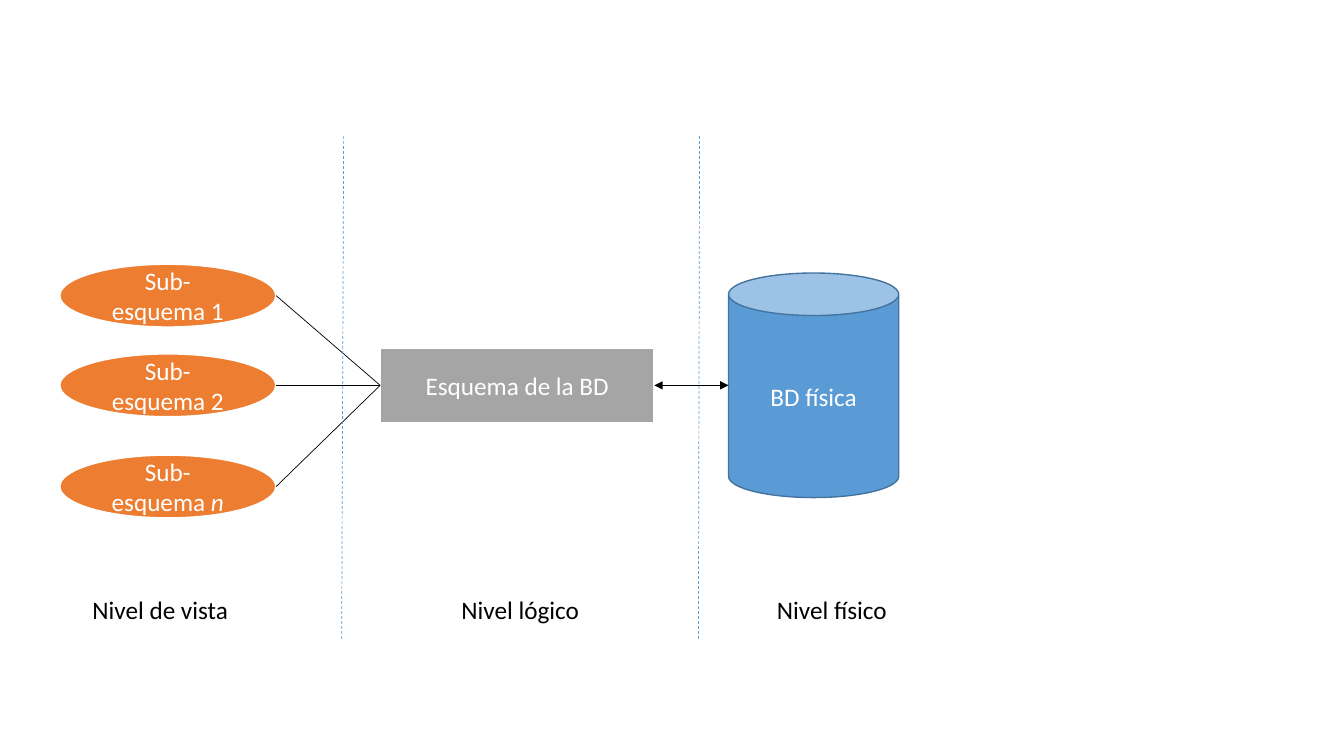
from dataclasses import dataclass

from lxml import etree
from pptx import Presentation, util as u
from pptx.dml.color import RGBColor
from pptx.enum import dml, shapes, text
from pptx.oxml import ns


@dataclass(frozen=True)
class Theme:
    """Colours and type of the page."""
    font: str = "Calibri"
    size: int = 18
    ink: str = "000000"
    paper: str = "FFFFFF"
    view: str = "ED7D31"
    logical: str = "A5A5A5"
    physical: str = "5B9BD5"
    physical_edge: str = "43739E"
    thin: float = 0.5
    edge: float = 1
    thick: float = 1.5


THEME = Theme()

# Lengths in centimetres. A sub-schema is (ending, italic, centre height).
SUBSCHEMAS = [("1", False, 7.45), ("2", False, 9.71), ("n", True, 12.26)]
VIEW_LEFT, VIEW_WIDTH, VIEW_HEIGHT = 1.5, 5.46, 1.6
AXIS = 9.71
SCHEMA = (9.58, 8.76, 6.91, 1.9)
DATABASE = (18.36, 6.88, 4.29, 5.66)
LEVELS = [  # wording, left, width, wraps
    ("Nivel de vista", 2.08, 4.9, True),
    ("Nivel lógico", 11.38, 3.51, False),
    ("Nivel físico", 19.33, 3.33, False),
]
LEVEL_TOP, LEVEL_HEIGHT = 14.86, 1.02
DIVIDERS = [(8.66, 8.61), (17.63, 17.6)]  # x at top, x at bottom
DIVIDER_TOP, DIVIDER_BOTTOM = 3.43, 16.13


def colour(code):
    """Turn a hex code into a colour."""
    return RGBColor.from_string(code)


def write(box, spans, ink, align):
    """Fill the first paragraph with (wording, italic) spans."""
    para = box.text_frame.paragraphs[0]
    para.alignment = align
    para.font.name, para.font.size = THEME.font, u.Pt(THEME.size)
    para.font.color.rgb = colour(ink)
    for wording, italic in spans:
        span = para.add_run()
        span.text = wording
        if italic:
            span.font.italic = True


def add_node(page, kind, place, fill, spans, edge=THEME.paper, width=THEME.thick):
    """Draw a filled shape with centred text."""
    node = page.shapes.add_shape(kind, *map(u.Cm, place))
    node.shadow.inherit = False
    node.fill.solid()
    node.fill.fore_color.rgb = colour(fill)
    node.line.color.rgb = colour(edge)
    node.line.width = u.Pt(width)
    node.text_frame.vertical_anchor = text.MSO_ANCHOR.MIDDLE
    node.text_frame.word_wrap = True
    write(node, spans, THEME.paper, text.PP_ALIGN.CENTER)


def add_line(page, ends, ink=THEME.ink, dashed=False, arrows=False):
    """Draw a thin line between (x1, y1, x2, y2)."""
    line = page.shapes.add_connector(shapes.MSO_CONNECTOR.STRAIGHT, *map(u.Cm, ends))
    line.line.color.rgb = colour(ink)
    line.line.width = u.Pt(THEME.thin)
    if dashed:
        line.line.dash_style = dml.MSO_LINE.DASH
    if arrows:
        for end in ("a:headEnd", "a:tailEnd"):
            etree.SubElement(line.line._get_or_add_ln(), ns.qn(end), type="triangle")
    etree.SubElement(line._element.spPr, ns.qn("a:effectLst"))


def add_level(page, wording, left, width, wraps):
    """Name one level below the diagram."""
    box = page.shapes.add_textbox(*map(u.Cm, (left, LEVEL_TOP, width, LEVEL_HEIGHT)))
    box.text_frame.word_wrap = wraps
    box.text_frame.auto_size = text.MSO_AUTO_SIZE.SHAPE_TO_FIT_TEXT
    write(box, [(wording, False)], THEME.ink, text.PP_ALIGN.LEFT)


deck = Presentation()
deck.slide_width, deck.slide_height = u.Cm(33.87), u.Cm(19.05)
page = deck.slides.add_slide(deck.slide_layouts[6])
SHAPE = shapes.MSO_SHAPE

add_node(page, SHAPE.RECTANGLE, SCHEMA, THEME.logical, [("Esquema de la BD", False)])
for ending, italic, centre in SUBSCHEMAS:
    place = (VIEW_LEFT, centre - VIEW_HEIGHT / 2, VIEW_WIDTH, VIEW_HEIGHT)
    spans = [("Sub-esquema ", False), (ending, italic)]
    add_node(page, SHAPE.OVAL, place, THEME.view, spans)
for _, _, centre in SUBSCHEMAS:
    add_line(page, (VIEW_LEFT + VIEW_WIDTH, centre, SCHEMA[0], AXIS))
add_node(page, SHAPE.CAN, DATABASE, THEME.physical, [("BD física", False)],
         THEME.physical_edge, THEME.edge)
add_line(page, (SCHEMA[0] + SCHEMA[2], AXIS, DATABASE[0], AXIS), arrows=True)
for level in LEVELS:
    add_level(page, *level)
for top_x, bottom_x in DIVIDERS:
    add_line(page, (top_x, DIVIDER_TOP, bottom_x, DIVIDER_BOTTOM), THEME.physical, dashed=True)

deck.save("out.pptx")
